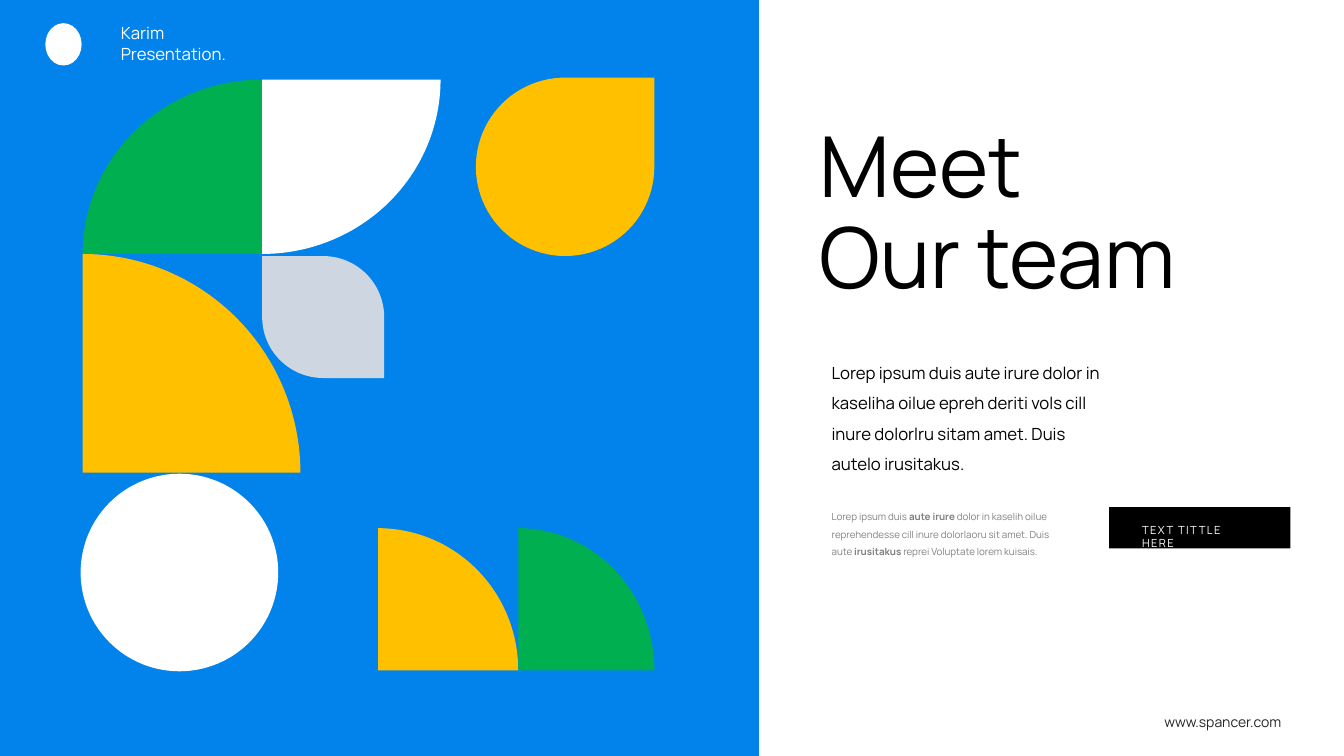
from math import cos, pi, sin

from pptx import Presentation
from pptx.dml.color import RGBColor
from pptx.enum.shapes import MSO_SHAPE
from pptx.enum.text import MSO_ANCHOR, MSO_AUTO_SIZE, PP_ALIGN
from pptx.util import Inches, Pt

PANEL = MSO_SHAPE.FLOWCHART_PROCESS
RECTANGLE = MSO_SHAPE.RECTANGLE
CIRCLE = MSO_SHAPE.OVAL
TEARDROP = MSO_SHAPE.TEAR
LEAF = MSO_SHAPE.ROUND_2_DIAG_RECTANGLE
TOP = MSO_ANCHOR.TOP
LEFT = PP_ALIGN.LEFT
NO_AUTOFIT = MSO_AUTO_SIZE.NONE

BLUE = RGBColor(0x02, 0x83, 0xEB)
GREEN = RGBColor(0x00, 0xB0, 0x50)
YELLOW = RGBColor(0xFF, 0xC0, 0x00)
PALE = RGBColor(0xCE, 0xD7, 0xE1)
WHITE = RGBColor(0xFF, 0xFF, 0xFF)
BLACK = RGBColor(0x00, 0x00, 0x00)
CHARCOAL = RGBColor(0x26, 0x26, 0x26)
GREY = RGBColor(0x80, 0x80, 0x80)

FONT = "Manrope"
CELL = 0.5
ROWS = 15
ARC_STEPS = 48

LEFT_EDGE = 1.64
SEAM = 5.2
BASELINE = 13.3
BODY_LEFT = 16.3

QUARTERS = [
    (SEAM, 5.04, -3.56, -3.46, GREEN),
    (SEAM, 1.58, 3.54, 3.46, WHITE),
    (LEFT_EDGE, 9.38, 4.32, -4.34, YELLOW),
    (7.5, BASELINE, 2.78, -2.82, YELLOW),
    (10.28, BASELINE, 2.7, -2.82, GREEN),
]


def grid(*cells):
    """Turn counts of grid cells into slide lengths."""
    return [Inches(count * CELL) for count in cells]


def paint(shape, colour):
    """Give a shape a flat fill with no outline or shadow."""
    shape.shadow.inherit = False
    shape.fill.solid()
    shape.fill.fore_color.rgb = colour
    shape.line.fill.background()


def add_block(slide, kind, box, colour):
    """Add a flat preset shape in a grid box."""
    block = slide.shapes.add_shape(kind, *grid(*box))
    paint(block, colour)
    return block


def add_quarter(slide, corner_x, corner_y, reach_x, reach_y, colour):
    """Add a quarter disc that spreads from its square corner."""
    angles = [pi / 2 * step / ARC_STEPS for step in range(ARC_STEPS + 1)]
    arc = [
        grid(corner_x + reach_x * cos(angle), corner_y + reach_y * sin(angle))
        for angle in angles
    ]
    builder = slide.shapes.build_freeform(*grid(corner_x, corner_y))
    builder.add_line_segments(arc, close=True)
    paint(builder.convert_to_shape(), colour)


def write(frame, paragraphs, size, colour, spacing=1.0, tracking=0):
    """Fill a text frame with paragraphs of (text, bold) runs."""
    frame.word_wrap = True
    frame.auto_size = NO_AUTOFIT
    frame.vertical_anchor = TOP
    for index, runs in enumerate(paragraphs):
        paragraph = frame.add_paragraph() if index else frame.paragraphs[0]
        paragraph.alignment = LEFT
        paragraph.line_spacing = spacing
        paragraph.space_before = Pt(0)
        for text, bold in runs:
            run = paragraph.add_run()
            run.text = text
            run.font.name = FONT
            run.font.size = Pt(size)
            run.font.bold = bold
            run.font.color.rgb = colour
            if tracking:
                run.font._element.set("spc", str(tracking * 100))


def add_text(slide, box, paragraphs, size, colour, **style):
    """Add a text box in a grid box."""
    frame = slide.shapes.add_textbox(*grid(*box)).text_frame
    write(frame, paragraphs, size, colour, **style)


def add_title(slide, box, lines):
    """Place and fill the title placeholder."""
    title = slide.shapes.title
    title.left, title.top, title.width, title.height = grid(*box)
    paragraphs = [[(line, False)] for line in lines]
    write(title.text_frame, paragraphs, 60, BLACK, spacing=0.9)


def add_artwork(slide):
    """Draw the blue panel and its geometric pattern."""
    add_block(slide, PANEL, (0, 0, 15.06, ROWS), BLUE)
    for quarter in QUARTERS:
        add_quarter(slide, *quarter)
    add_block(slide, TEARDROP, (9.44, 1.54, 3.54, 3.54), YELLOW)
    leaf = add_block(slide, LEAF, (SEAM, 5.08, 2.42, 2.42), PALE)
    leaf.adjustments[0] = 0.5
    leaf.adjustments[1] = 0
    leaf.rotation = 90
    add_block(slide, CIRCLE, (1.6, 9.4, 3.92, 3.92), WHITE)


def add_header(slide):
    """Add the emblem and the presentation name."""
    add_block(slide, CIRCLE, (0.9, 0.46, 0.72, 0.84), WHITE)
    name = [[("Karim", False)], [("Presentation.", False)]]
    add_text(slide, (2.2, 0.36, 2.62, 1), name, 12, WHITE)


def add_message(slide):
    """Add the title, body texts, button and web address."""
    add_title(slide, (16.06, 2.38, 8.52, 3.86), ["Meet", "Our team"])
    lead = (
        "Lorep ipsum duis aute irure dolor in kaseliha oilue epreh deriti "
        "vols cill inure dolorlru sitam amet. Duis autelo irusitakus."
    )
    add_text(slide, (BODY_LEFT, 6.9, 6.08, 2.56), [[(lead, False)]],
             12, BLACK, spacing=1.5)
    detail = [
        ("Lorep ipsum duis ", False),
        ("aute irure ", True),
        ("dolor in kaselih oilue reprehendesse cill inure dolorlaoru "
         "sit amet. Duis aute", False),
        (" irusitakus ", True),
        ("reprei Voluptate lorem kuisais.", False),
    ]
    add_text(slide, (BODY_LEFT, 9.92, 5, 1.58), [detail],
             7, GREY, spacing=1.5)
    add_block(slide, RECTANGLE, (22, 10.06, 3.6, 0.82), BLACK)
    add_text(slide, (22.46, 10.28, 2.66, 0.48),
             [[("TEXT TITTLE HERE", False)]], 8, WHITE, tracking=1)
    add_text(slide, (22.9, 14.06, 3.62, 0.54),
             [[("www.spancer.com", False)]], 10, CHARCOAL)


def main():
    """Build and save the team slide."""
    deck = Presentation()
    deck.slide_width = Inches(13.33)
    deck.slide_height = Inches(ROWS * CELL)
    slide = deck.slides.add_slide(deck.slide_layouts.get_by_name("Title Only"))
    add_artwork(slide)
    add_header(slide)
    add_message(slide)
    deck.save("out.pptx")


if __name__ == "__main__":
    main()
